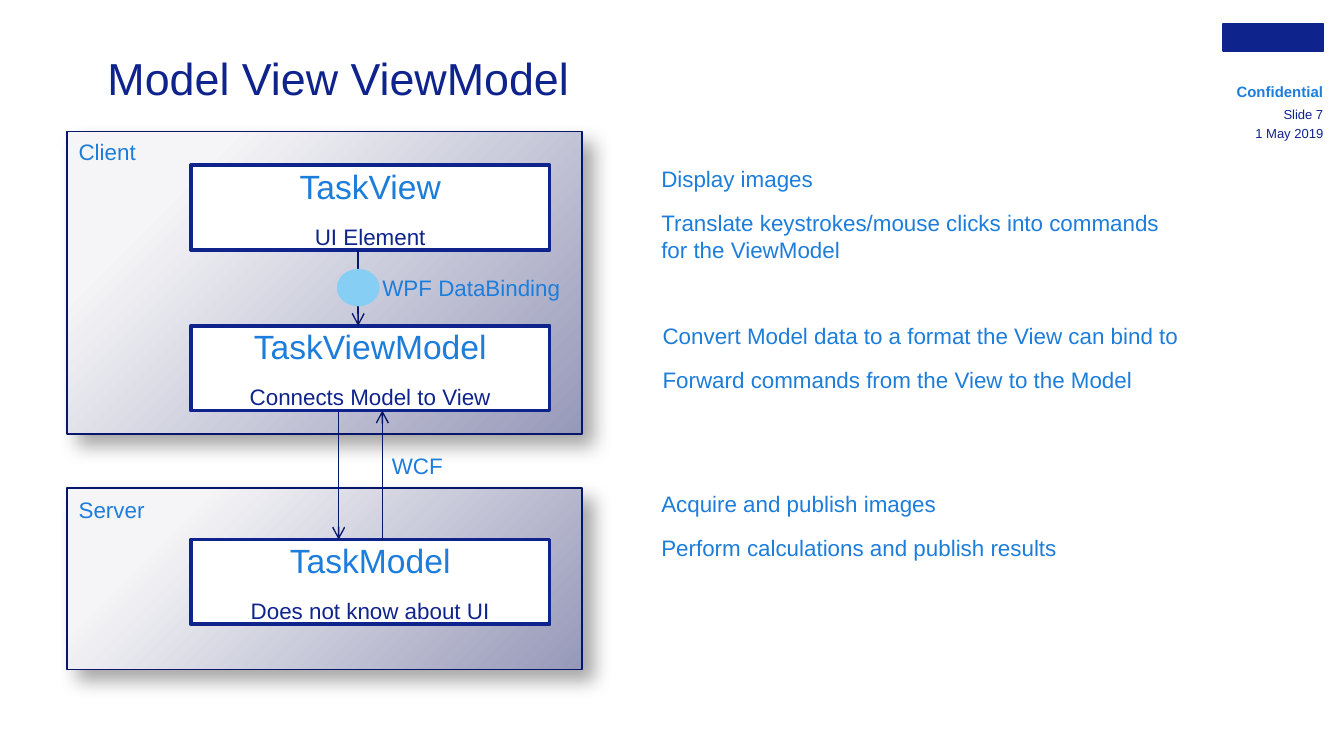
from lxml import etree
from pptx import Presentation
from pptx.dml.color import RGBColor
from pptx.enum.shapes import MSO_CONNECTOR, MSO_SHAPE
from pptx.enum.text import MSO_ANCHOR, PP_ALIGN
from pptx.oxml.ns import qn
from pptx.util import Inches, Pt

LEFT, CENTER, RIGHT = PP_ALIGN.LEFT, PP_ALIGN.CENTER, PP_ALIGN.RIGHT
TOP, MIDDLE = MSO_ANCHOR.TOP, MSO_ANCHOR.MIDDLE
RECT, OVAL = MSO_SHAPE.RECTANGLE, MSO_SHAPE.OVAL
STRAIGHT = MSO_CONNECTOR.STRAIGHT

FONT = "Arial"
COLORS = {
    "navy": "0F238C", "blue": "1C7DDB", "edge": "06166A", "sky": "86CEF4",
    "white": "FFFFFF", "pale": "F5F5F7", "dusk": "9799B9", "black": "000000",
}
# The slide is a grid of 100 columns by 56.25 rows, each a tenth of an inch.
COLS, ROWS = 100, 56.25
PANEL_X, PANEL_W = 5, 38.3
BOX_X, BOX_W, BOX_H = 14.2, 26.7, 6.3
VIEW_Y, BRIDGE_Y, MODEL_Y = 12.3, 24.25, 40.15
NOTE_X, META_X, META_W = 49.2, 90.25, 8.2


def grid(*cells):
    return [Inches(cell / 10) for cell in cells]


def color(name):
    return RGBColor.from_string(COLORS[name])


def write(frame, lines, align=LEFT, anchor=TOP, after=9):
    """Fill a frame; each line is (text, size, color name)."""
    frame.word_wrap = True
    frame.vertical_anchor = anchor
    frame.margin_left = frame.margin_top = 0
    frame.margin_right = frame.margin_bottom = 0
    frame.text = "\n".join(text for text, _, _ in lines)
    for para, (_, size, tint) in zip(frame.paragraphs, lines):
        para.alignment = align
        para.space_after = Pt(after)
        for run in para.runs:
            run.font.name = FONT
            run.font.size = Pt(size)
            run.font.color.rgb = color(tint)


def add_text(slide, cells, lines, **style):
    frame = slide.shapes.add_textbox(*grid(*cells)).text_frame
    write(frame, lines, **style)
    return frame.paragraphs[0]


def add_label(slide, x, y, width, *texts, height=2):
    lines = [(text, 12, "blue") for text in texts]
    add_text(slide, (x, y, width, height), lines)


def add_form(slide, kind, cells, fill, line, weight):
    form = slide.shapes.add_shape(kind, *grid(*cells))
    form.shadow.inherit = False
    form.fill.solid()
    form.fill.fore_color.rgb = color(fill)
    form.line.color.rgb = color(line)
    form.line.width = Pt(weight)
    return form


def add_shadow(form):
    effects = form._element.spPr.find(qn("a:effectLst"))
    shadow = etree.SubElement(
        effects, qn("a:outerShdw"), blurRad=str(Pt(10.2)), dist=str(Pt(8)),
        dir="2700000", algn="tl", rotWithShape="0")
    tint = etree.SubElement(shadow, qn("a:srgbClr"), val=COLORS["black"])
    etree.SubElement(tint, qn("a:alpha"), val="35000")


def add_panel(slide, y, height):
    cells = (PANEL_X, y, PANEL_W, height)
    panel = add_form(slide, RECT, cells, "pale", "edge", 0.75)
    panel.fill.gradient()
    panel.fill.gradient_angle = 315
    stops = panel.fill.gradient_stops
    for stop, spot, tint in zip(stops, (0.2, 1), ("pale", "dusk")):
        stop.position = spot
        stop.color.rgb = color(tint)
    add_shadow(panel)


def add_box(slide, y, name, role):
    cells = (BOX_X, y, BOX_W, BOX_H)
    box = add_form(slide, RECT, cells, "white", "navy", 2)
    lines = [(name, 18, "blue"), (role, 12, "navy")]
    write(box.text_frame, lines, align=CENTER, anchor=MIDDLE)


def add_arrow(slide, x, start, end):
    """Draw an upright line with an open head at its end."""
    arrow = slide.shapes.add_connector(STRAIGHT, *grid(x, start, x, end))
    arrow.line.color.rgb = color("edge")
    arrow.line.width = Pt(0.75)
    etree.SubElement(arrow.line._get_or_add_ln(), qn("a:tailEnd"), type="arrow")
    etree.SubElement(arrow._element.spPr, qn("a:effectLst"))


def add_meta(slide):
    add_form(slide, RECT, (91, 1.8, 7.5, 2), "navy", "navy", 0.75)
    mark = add_text(slide, (META_X, 6.15, META_W, 1),
                    [("Confidential", 8, "blue")], align=RIGHT, after=0)
    mark.runs[0].font.bold = True
    for y, text, pitch in ((8, "Slide 7", 8), (9.5, "1 May 2019", 7)):
        para = add_text(slide, (META_X, y, META_W, 1), [(text, 7, "navy")],
                        align=RIGHT, anchor=MIDDLE, after=0)
        para.line_spacing = Pt(pitch)


def main():
    deck = Presentation()
    deck.slide_width, deck.slide_height = grid(COLS, ROWS)
    slide = deck.slides.add_slide(deck.slide_layouts[6])

    add_meta(slide)
    add_text(slide, (8, 3.8, 80.6, 6.1),
             [("Model View ViewModel", 24, "navy")], after=0)

    add_panel(slide, 36.3, 13.5)
    add_panel(slide, 9.8, 22.5)
    add_box(slide, MODEL_Y, "TaskModel", "Does not know about UI")
    add_box(slide, BRIDGE_Y, "TaskViewModel", "Connects Model to View")
    add_box(slide, VIEW_Y, "TaskView", "UI Element")

    add_arrow(slide, 26.65, VIEW_Y + BOX_H, BRIDGE_Y)
    add_form(slide, OVAL, (25.2, 20.15, 2.9, 2.5), "sky", "sky", 2)
    add_arrow(slide, 25.2, BRIDGE_Y + BOX_H, MODEL_Y)
    add_arrow(slide, 28.45, MODEL_Y, BRIDGE_Y + BOX_H)

    add_label(slide, 5.85, 10.3, 17.5, "Client")
    add_label(slide, 5.85, 36.9, 17.5, "Server")
    add_label(slide, 28.45, 20.4, 17.5, "WPF DataBinding")
    add_label(slide, 29.15, 33.65, 5.8, "WCF")
    add_label(slide, NOTE_X, 12.3, 37.5, "Display images",
              "Translate keystrokes/mouse clicks into commands for the ViewModel",
              height=7.3)
    add_label(slide, NOTE_X + 0.1, 24, 40.9,
              "Convert Model data to a format the View can bind to",
              "Forward commands from the View to the Model", height=5.3)
    add_label(slide, NOTE_X, 36.5, 35.8, "Acquire and publish images",
              "Perform calculations and publish results", height=5.3)

    deck.save("out.pptx")


if __name__ == "__main__":
    main()
